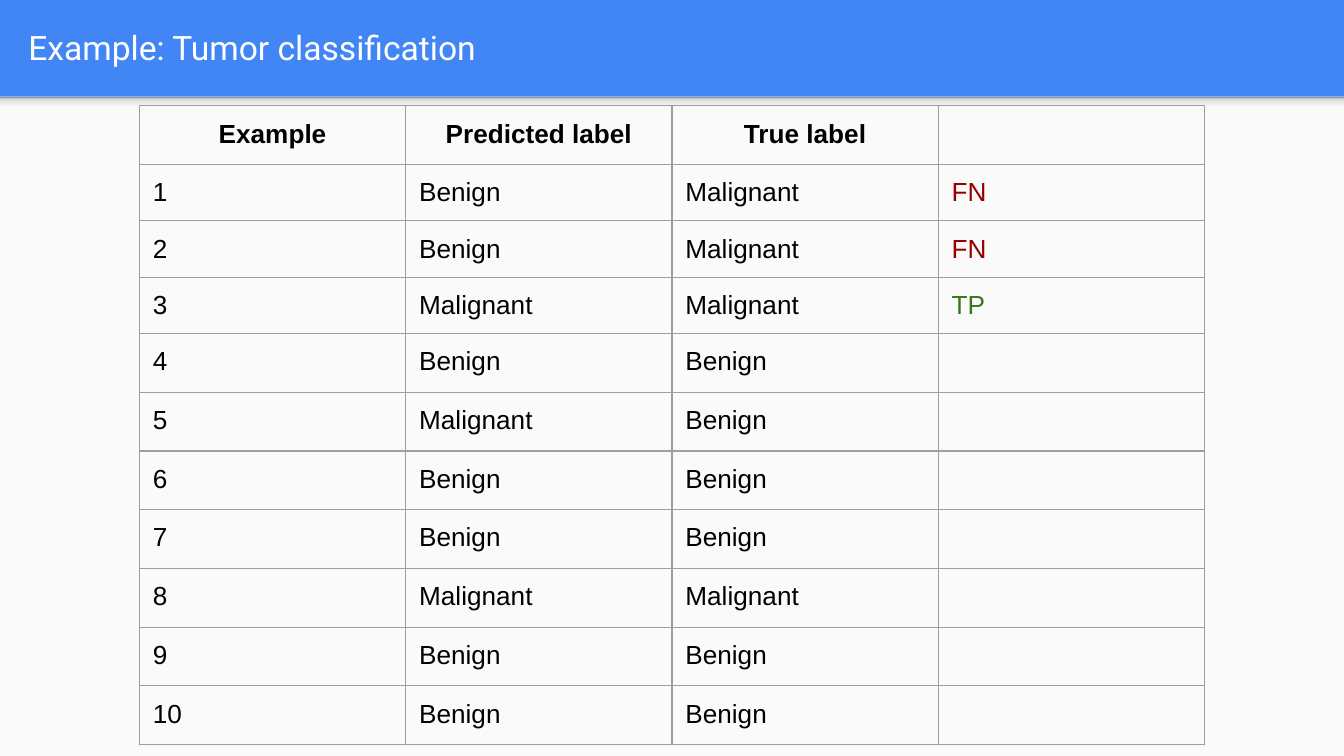
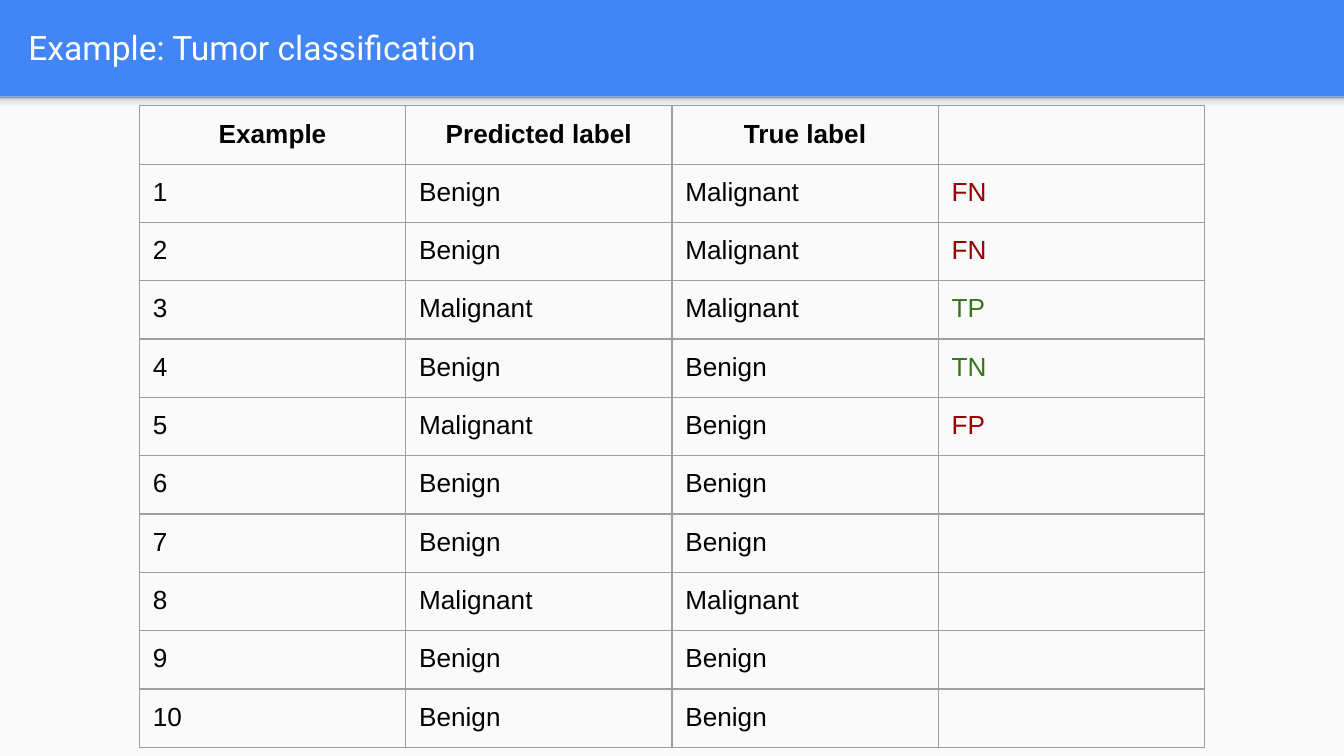
import dataclasses
import typing

import lxml.etree
import pptx
import pptx.dml.color
import pptx.enum.shapes
import pptx.enum.text
import pptx.oxml
import pptx.oxml.ns
import pptx.util

EMU_PER_PX = 5715


@dataclasses.dataclass(frozen=True)
class Theme:
    header: str = "4285F4"
    paper: str = "FAFAFA"
    title: str = "FFFFFF"
    text: str = "000000"
    correct: str = "38761D"
    wrong: str = "980000"
    border: str = "9E9E9E"
    shadow_stops: tuple = ((0, "F9F9F9"), (36, "F9F9F9"), (80, "DEDEDE"), (100, "999999"))
    title_font: str = "Roboto"
    body_font: str = "Arial"
    title_size: int = 18
    body_size: int = 14
    border_width: float = 0.75


class Box(typing.NamedTuple):
    left: int
    top: int
    width: int
    height: int


class Diagnosis(typing.NamedTuple):
    predicted: str
    actual: str


THEME = Theme()
SLIDE_WIDTH, SLIDE_HEIGHT = 1600, 900
HEADER_HEIGHT = 115
PAPER = Box(0, HEADER_HEIGHT, SLIDE_WIDTH, SLIDE_HEIGHT - HEADER_HEIGHT)
HEADER_SHADOW = Box(0, HEADER_HEIGHT, SLIDE_WIDTH, 19)
TITLE = Box(18, 3, 1544, 106)
TABLE = Box(166, 126, 1268, 763)
ROW_HEIGHT = 50
INSET = 16

TITLE_TEXT = "Example: Tumor classification"
HEADINGS = ("Example", "Predicted label", "True label", "")
POSITIVE, NEGATIVE = "Malignant", "Benign"
DIAGNOSES = (
    Diagnosis(NEGATIVE, POSITIVE),
    Diagnosis(NEGATIVE, POSITIVE),
    Diagnosis(POSITIVE, POSITIVE),
    Diagnosis(NEGATIVE, NEGATIVE),
    Diagnosis(POSITIVE, NEGATIVE),
    Diagnosis(NEGATIVE, NEGATIVE),
    Diagnosis(NEGATIVE, NEGATIVE),
    Diagnosis(POSITIVE, POSITIVE),
    Diagnosis(NEGATIVE, NEGATIVE),
    Diagnosis(NEGATIVE, NEGATIVE),
)
REVEALED_COUNTS = (3, 5)


def px(length: int) -> pptx.util.Emu:
    return pptx.util.Emu(length * EMU_PER_PX)


def place(box: Box) -> tuple:
    return tuple(px(length) for length in box)


def rgb(color: str) -> pptx.dml.color.RGBColor:
    return pptx.dml.color.RGBColor.from_string(color)


def set_insets(target) -> None:
    target.margin_left = target.margin_right = px(INSET)
    target.margin_top = target.margin_bottom = px(INSET)


def style_runs(paragraph, font_name: str, size: int, color: str, bold: bool = False) -> None:
    for run in paragraph.runs:
        run.font.name = font_name
        run.font.size = pptx.util.Pt(size)
        run.font.bold = bold
        run.font.color.rgb = rgb(color)


def add_rectangle(slide, box: Box):
    shape = slide.shapes.add_shape(pptx.enum.shapes.MSO_SHAPE.RECTANGLE, *place(box))
    shape.shadow.inherit = False
    shape.line.fill.background()
    return shape


def add_background(slide) -> None:
    slide.background.fill.solid()
    slide.background.fill.fore_color.rgb = rgb(THEME.header)
    paper = add_rectangle(slide, PAPER)
    paper.fill.solid()
    paper.fill.fore_color.rgb = rgb(THEME.paper)

    shadow = add_rectangle(slide, HEADER_SHADOW)
    shadow.fill.gradient()
    shadow.fill.gradient_angle = 90
    stops = shadow._element.spPr.find(".//" + pptx.oxml.ns.qn("a:gsLst"))
    for stop in list(stops):
        stops.remove(stop)
    for position, color in THEME.shadow_stops:
        stop = lxml.etree.SubElement(stops, pptx.oxml.ns.qn("a:gs"), pos=str(position * 1000))
        lxml.etree.SubElement(stop, pptx.oxml.ns.qn("a:srgbClr"), val=color)


def add_title(slide, text: str) -> None:
    text_frame = slide.shapes.add_textbox(*place(TITLE)).text_frame
    text_frame.word_wrap = True
    text_frame.vertical_anchor = pptx.enum.text.MSO_ANCHOR.MIDDLE
    set_insets(text_frame)
    text_frame.text = text
    style_runs(text_frame.paragraphs[0], THEME.title_font, THEME.title_size, THEME.title)


def add_borders(cell) -> None:
    properties = cell._tc.get_or_add_tcPr()
    width = str(int(pptx.util.Pt(THEME.border_width)))
    for index, side in enumerate(("lnL", "lnR", "lnT", "lnB")):
        line = pptx.oxml.parse_xml(
            f'<a:{side} {pptx.oxml.ns.nsdecls("a")} w="{width}"><a:solidFill>'
            f'<a:srgbClr val="{THEME.border}"/></a:solidFill></a:{side}>'
        )
        properties.insert(index, line)


def fill_cell(cell, text: str, color: str, heading: bool) -> None:
    cell.fill.background()
    add_borders(cell)
    set_insets(cell)
    paragraph = cell.text_frame.paragraphs[0]
    if heading:
        paragraph.alignment = pptx.enum.text.PP_ALIGN.CENTER
    if text:
        paragraph.text = text
        style_runs(paragraph, THEME.body_font, THEME.body_size, color, heading)
    else:
        lxml.etree.SubElement(
            paragraph._p, pptx.oxml.ns.qn("a:endParaRPr"), sz=str(THEME.body_size * 100)
        )


def outcome(diagnosis: Diagnosis) -> str:
    correctness = "T" if diagnosis.predicted == diagnosis.actual else "F"
    return correctness + ("P" if diagnosis.predicted == POSITIVE else "N")


def outcome_color(label: str) -> str:
    return THEME.correct if label.startswith("T") else THEME.wrong


def add_diagnosis_table(slide, revealed_count: int) -> None:
    rows = [HEADINGS]
    for number, diagnosis in enumerate(DIAGNOSES, start=1):
        label = outcome(diagnosis) if number <= revealed_count else ""
        rows.append((str(number), *diagnosis, label))

    frame = slide.shapes.add_table(len(rows), len(HEADINGS), *place(TABLE))
    table = frame.table
    table.first_row = table.horz_banding = False
    for column in table.columns:
        column.width = px(TABLE.width // len(HEADINGS))
    for row_index, values in enumerate(rows):
        table.rows[row_index].height = px(ROW_HEIGHT)
        for column_index, text in enumerate(values):
            is_outcome = column_index == len(HEADINGS) - 1
            color = outcome_color(text) if is_outcome else THEME.text
            fill_cell(table.cell(row_index, column_index), text, color, row_index == 0)
    frame.height = px(TABLE.height)


def main() -> None:
    presentation = pptx.Presentation()
    presentation.slide_width = px(SLIDE_WIDTH)
    presentation.slide_height = px(SLIDE_HEIGHT)
    for revealed_count in REVEALED_COUNTS:
        slide = presentation.slides.add_slide(presentation.slide_layouts[6])
        add_background(slide)
        add_diagnosis_table(slide, revealed_count)
        add_title(slide, TITLE_TEXT)
    presentation.save("out.pptx")


if __name__ == "__main__":
    main()
